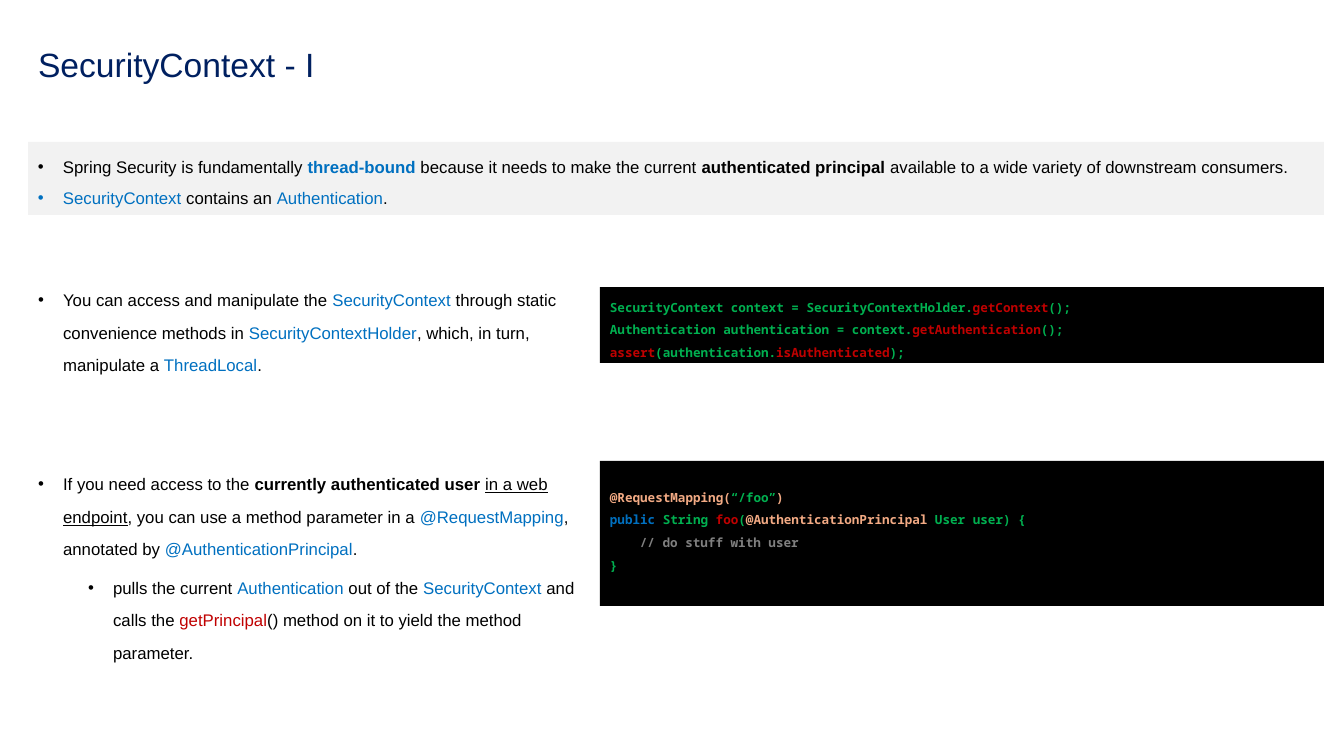
import pptx
import pptx.dml.color
import pptx.enum.shapes
import pptx.enum.text
import pptx.oxml
import pptx.oxml.ns
import pptx.util
from lxml import etree

PX = 914400 / 100.8
COLORS = {
    "navy": "002060", "black": "000000", "blue": "0070C0", "green": "00B050",
    "red": "C00000", "peach": "F2AA84", "gray": "808080", "pale": "F2F2F2",
}
LEFT, RIGHT = 28, 1324
LIST_WIDTH, CODE_LEFT = 560, 600
INDENT = 25

SUMMARY = [
    [("Spring Security is fundamentally ", "black"), ("thread-bound ", "blue", "bold"),
     ("because it needs to make the current ", "black"),
     ("authenticated principal", "black", "bold"),
     (" available to a wide variety of downstream consumers.", "black")],
    [("SecurityContext", "blue"), (" contains an ", "black"),
     ("Authentication", "blue"), (".", "black")],
]
HOLDER_POINTS = [
    [("You can access and manipulate the ", "black"), ("SecurityContext", "blue"),
     (" through static convenience methods in ", "black"),
     ("SecurityContextHolder", "blue"), (", which, in turn, manipulate a ", "black"),
     ("ThreadLocal", "blue"), (".", "black")],
]
ENDPOINT_POINTS = [
    [("If you need access to the ", "black"),
     ("currently authenticated user ", "black", "bold"),
     ("in a web endpoint", "black", "underline"),
     (", you can use a method parameter in a ", "black"), ("@RequestMapping", "blue"),
     (", annotated by ", "black"), ("@AuthenticationPrincipal", "blue"), (".", "black")],
    [("pulls the current ", "black"), ("Authentication", "blue"),
     (" out of the ", "black"), ("SecurityContext", "blue"),
     (" and calls the ", "black"), ("getPrincipal", "red"),
     ("() method on it to yield the method parameter.", "black")],
]
HOLDER_CODE = [
    [("SecurityContext context = SecurityContextHolder.", "green"),
     ("getContext", "red"), ("();", "green")],
    [("Authentication authentication = context.", "green"),
     ("getAuthentication", "red"), ("();", "green")],
    [("assert", "red"), ("(authentication.", "green"),
     ("isAuthenticated", "red"), (");", "green")],
]
ENDPOINT_CODE = [
    [("@RequestMapping(", "peach"), ("“/foo”", "green"), (")", "peach")],
    [("public", "blue"), (" String ", "green"), ("foo", "red"), ("(", "green"),
     ("@AuthenticationPrincipal", "peach"), (" User user) {", "green")],
    [("// do stuff with user", "gray")],
    [("}", "green")],
]


def px(length):
    """Turn pixels into EMU."""
    return pptx.util.Emu(round(length * PX))


def rgb(name):
    """Look up a named colour."""
    return pptx.dml.color.RGBColor.from_string(COLORS[name])


def place(shape, box):
    """Move a shape to a box of left, top, width and height."""
    shape.left, shape.top, shape.width, shape.height = map(px, box)


def prepare_frame(shape, anchor="TOP"):
    """Set wrapping, fixed size and anchor, and return the text frame."""
    frame = shape.text_frame
    frame.word_wrap = True
    frame.auto_size = pptx.enum.text.MSO_AUTO_SIZE.NONE
    frame.vertical_anchor = getattr(pptx.enum.text.MSO_ANCHOR, anchor)
    return frame


def indent(paragraph, left, hanging=0, bullet=False):
    """Set the left margin, the hanging indent and an optional bullet."""
    properties = paragraph._p.get_or_add_pPr()
    properties.set("marL", str(px(left)))
    properties.set("indent", str(-px(hanging)))
    if bullet:
        font = etree.SubElement(properties, pptx.oxml.ns.qn("a:buFont"))
        font.set("typeface", "Arial")
        character = etree.SubElement(properties, pptx.oxml.ns.qn("a:buChar"))
        character.set("char", "•")


def write_runs(paragraph, runs, size, spacing, before=0, font="Arial", bold=False):
    """Fill a left-aligned paragraph with styled runs."""
    paragraph.alignment = pptx.enum.text.PP_ALIGN.LEFT
    paragraph.line_spacing = spacing
    paragraph.space_before = pptx.util.Pt(before)
    for text, color, *flags in runs:
        run = paragraph.add_run()
        run.text = text
        run.font.name = font
        run.font.size = pptx.util.Pt(size)
        run.font.bold = bold or "bold" in flags
        run.font.underline = "underline" in flags
        run.font.color.rgb = rgb(color)


def paragraphs_for(frame, lines):
    """Yield each line's index and runs with a paragraph to hold them."""
    for index, runs in enumerate(lines):
        yield index, runs, frame.add_paragraph() if index else frame.paragraphs[0]


def add_panel(slide, box, color):
    """Add a plain filled rectangle."""
    shape = slide.shapes.add_shape(
        pptx.enum.shapes.MSO_SHAPE.RECTANGLE, *map(px, box))
    shape.shadow.inherit = False
    shape.fill.solid()
    shape.fill.fore_color.rgb = rgb(color)
    shape.line.fill.background()
    return shape


def fill_title(shape, box, text):
    """Place the title and write it."""
    place(shape, box)
    frame = prepare_frame(shape, "MIDDLE")
    write_runs(frame.paragraphs[0], [(text, "navy")], 24, 0.9)


def add_summary(slide, box, points):
    """Add the pale summary bar with its bullets."""
    frame = prepare_frame(add_panel(slide, box, "pale"))
    for _, runs, paragraph in paragraphs_for(frame, points):
        write_runs(paragraph, runs, 12, 1.5)
        indent(paragraph, INDENT, INDENT, True)


def fill_list(shape, box, points):
    """Place a body list whose points each go one level deeper."""
    place(shape, box)
    frame = prepare_frame(shape)
    for level, runs, paragraph in paragraphs_for(frame, points):
        paragraph.level = level
        write_runs(paragraph, runs, 12, 1.6, 5 if level else 10)
        indent(paragraph, INDENT * (1 + 2 * level), INDENT, True)


def add_code(slide, box, lines, top_inset=5):
    """Add a black code panel, with comments indented one step."""
    frame = prepare_frame(add_panel(slide, box, "black"))
    frame.margin_top = px(top_inset)
    for _, runs, paragraph in paragraphs_for(frame, lines):
        write_runs(paragraph, runs, 9, 1.5, font="Noto Sans Mono", bold=True)
        indent(paragraph, 30 if runs[0][0].startswith("//") else 0)


def main():
    """Build and save the presentation."""
    presentation = pptx.Presentation()
    presentation.slide_width, presentation.slide_height = px(1344), px(756)
    slide = presentation.slides.add_slide(presentation.slide_layouts[3])
    title, holder_list, endpoint_list = slide.placeholders
    full_width, code_width = RIGHT - LEFT, RIGHT - CODE_LEFT
    fill_title(title, (LEFT, 40, full_width, 53), "SecurityContext - I")
    add_summary(slide, (LEFT, 142, full_width, 73), SUMMARY)
    fill_list(holder_list, (LEFT, 273, LIST_WIDTH, 112), HOLDER_POINTS)
    add_code(slide, (CODE_LEFT, 287, code_width, 76), HOLDER_CODE)
    fill_list(endpoint_list, (LEFT, 457, LIST_WIDTH, 216), ENDPOINT_POINTS)
    add_code(slide, (CODE_LEFT, 461, code_width, 145), ENDPOINT_CODE, 21)
    presentation.save("out.pptx")


if __name__ == "__main__":
    main()
